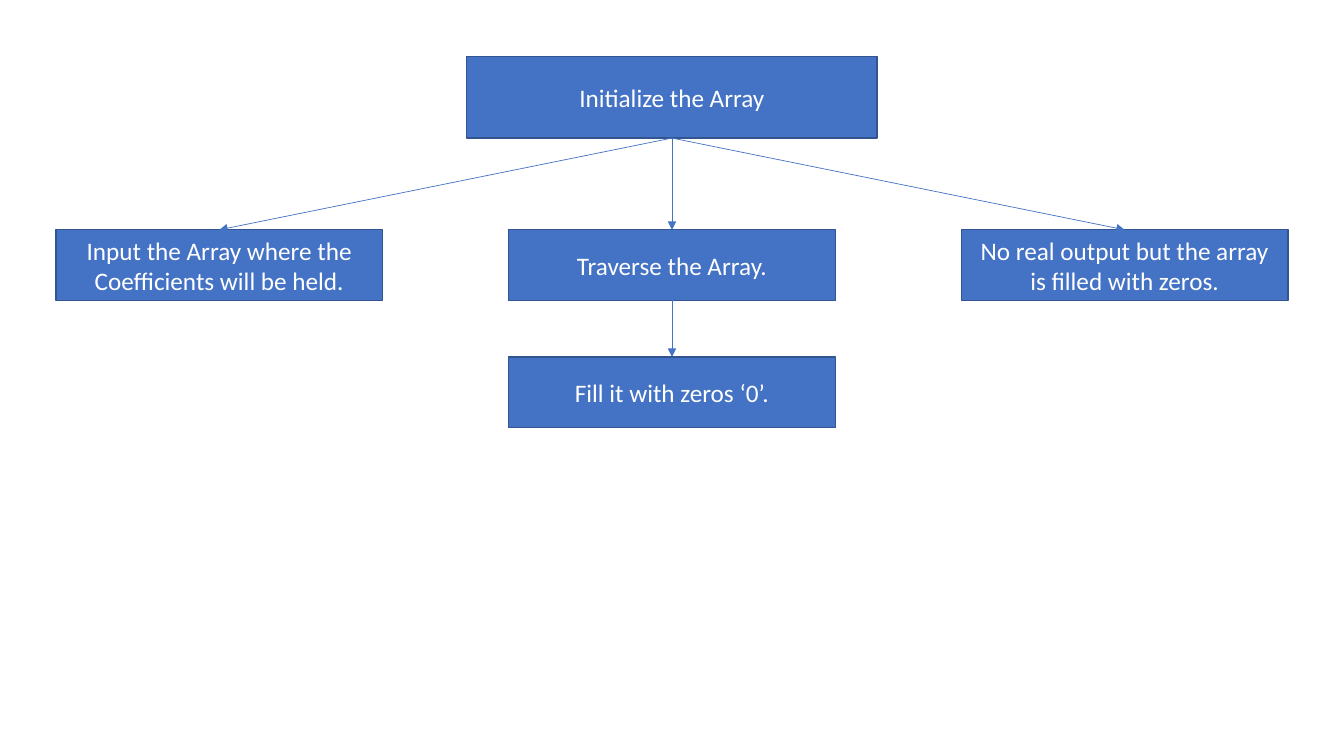
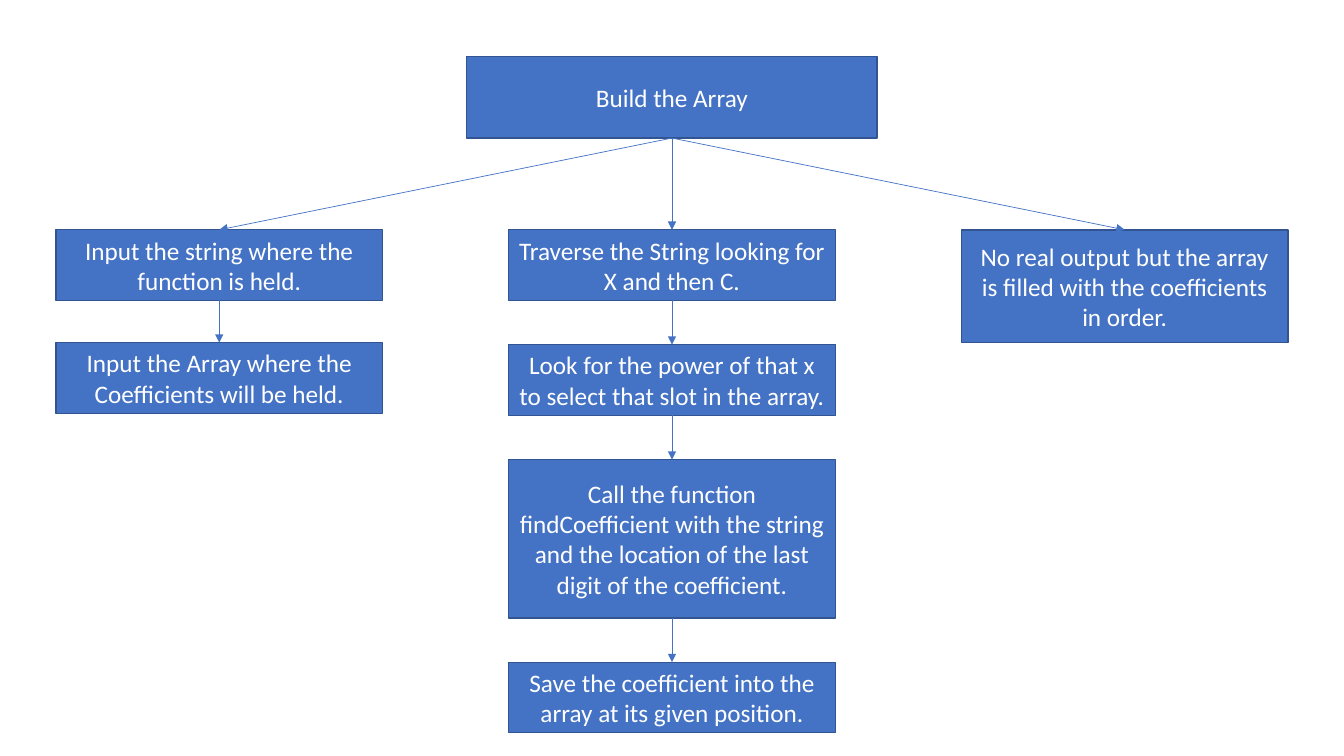
from lxml.etree import SubElement
from pptx import Presentation
from pptx.dml.color import RGBColor
from pptx.enum.shapes import MSO_CONNECTOR, MSO_SHAPE
from pptx.enum.text import MSO_ANCHOR, PP_ALIGN
from pptx.oxml.ns import qn
from pptx.util import Inches, Pt

COLORS = {"fill": "4472C4", "border": "325491", "arrow": "4472C4", "text": "FFFFFF"}
FONT = {"name": "Calibri", "size": Pt(18)}

# Lengths in inches
SLIDE_WIDTH, SLIDE_HEIGHT = 13.33, 7.5
TITLE_TOP, TITLE_WIDTH, TITLE_HEIGHT = 0.56, 4.07, 0.81
STEP_TOP, STEP_WIDTH = 2.28, 3.24
COLUMN_PITCH = 4.49
STEP_HEIGHTS = {1: 0.7, 3: 1.12, 4: 1.57}  # by number of text lines
TOP, BOTTOM = 0, 2  # connection sites

# Each column is (gap between steps, [(text, text lines), ...])
CHARTS = [
    ("Initialize the Array", [
        (0, [("Input the Array where the Coefficients will be held.", 1)]),
        (0.56, [("Traverse the Array.", 1), ("Fill it with zeros ‘0’.", 1)]),
        (0, [("No real output but the array is filled with zeros.", 1)]),
    ]),
    ("Build the Array", [
        (0.42, [
            ("Input the string where the function is held.", 1),
            ("Input the Array where the Coefficients will be held.", 1),
        ]),
        (0.44, [
            ("Traverse the String looking for X and then C.", 1),
            ("Look for the power of that x to select that slot in the array.", 1),
            ("Call the function findCoefficient with the string and the location "
             "of the last digit of the coefficient.", 4),
            ("Save the coefficient into the array at its given position.", 1),
        ]),
        (0, [("No real output but the array is filled with the coefficients in order.", 3)]),
    ]),
]


def color(name):
    return RGBColor.from_string(COLORS[name])


def add_box(page, text, center, top, width, height):
    box = page.shapes.add_shape(
        MSO_SHAPE.RECTANGLE,
        *(Inches(length) for length in (center - width / 2, top, width, height)))
    box.shadow.inherit = False
    box.fill.solid()
    box.fill.fore_color.rgb = color("fill")
    box.line.color.rgb = color("border")
    box.line.width = Pt(1)
    box.text_frame.word_wrap = True
    box.text_frame.vertical_anchor = MSO_ANCHOR.MIDDLE
    para = box.text_frame.paragraphs[0]
    para.alignment = PP_ALIGN.CENTER
    span = para.add_run()
    span.text = text
    for attribute, value in FONT.items():
        setattr(span.font, attribute, value)
    span.font.color.rgb = color("text")
    return box


def add_arrow(page, parent, child):
    arrow = page.shapes.add_connector(MSO_CONNECTOR.STRAIGHT, 0, 0, 0, 0)
    arrow.begin_connect(parent, BOTTOM)
    arrow.end_connect(child, TOP)
    arrow.line.color.rgb = color("arrow")
    arrow.line.width = Pt(0.5)
    SubElement(arrow.line._get_or_add_ln(), qn("a:tailEnd"), type="triangle")
    SubElement(arrow._element.spPr, qn("a:effectLst"))


def add_chart_page(deck, title, columns):
    page = deck.slides.add_slide(deck.slide_layouts[6])
    middle = SLIDE_WIDTH / 2
    root = add_box(page, title, middle, TITLE_TOP, TITLE_WIDTH, TITLE_HEIGHT)
    for index, (gap, steps) in enumerate(columns):
        center = middle + (index - (len(columns) - 1) / 2) * COLUMN_PITCH
        parent, top = root, STEP_TOP
        for text, lines in steps:
            height = STEP_HEIGHTS[lines]
            box = add_box(page, text, center, top, STEP_WIDTH, height)
            add_arrow(page, parent, box)
            parent, top = box, top + height + gap


def main():
    deck = Presentation()
    deck.slide_width, deck.slide_height = Inches(SLIDE_WIDTH), Inches(SLIDE_HEIGHT)
    for title, columns in CHARTS:
        add_chart_page(deck, title, columns)
    deck.save("out.pptx")


if __name__ == "__main__":
    main()
